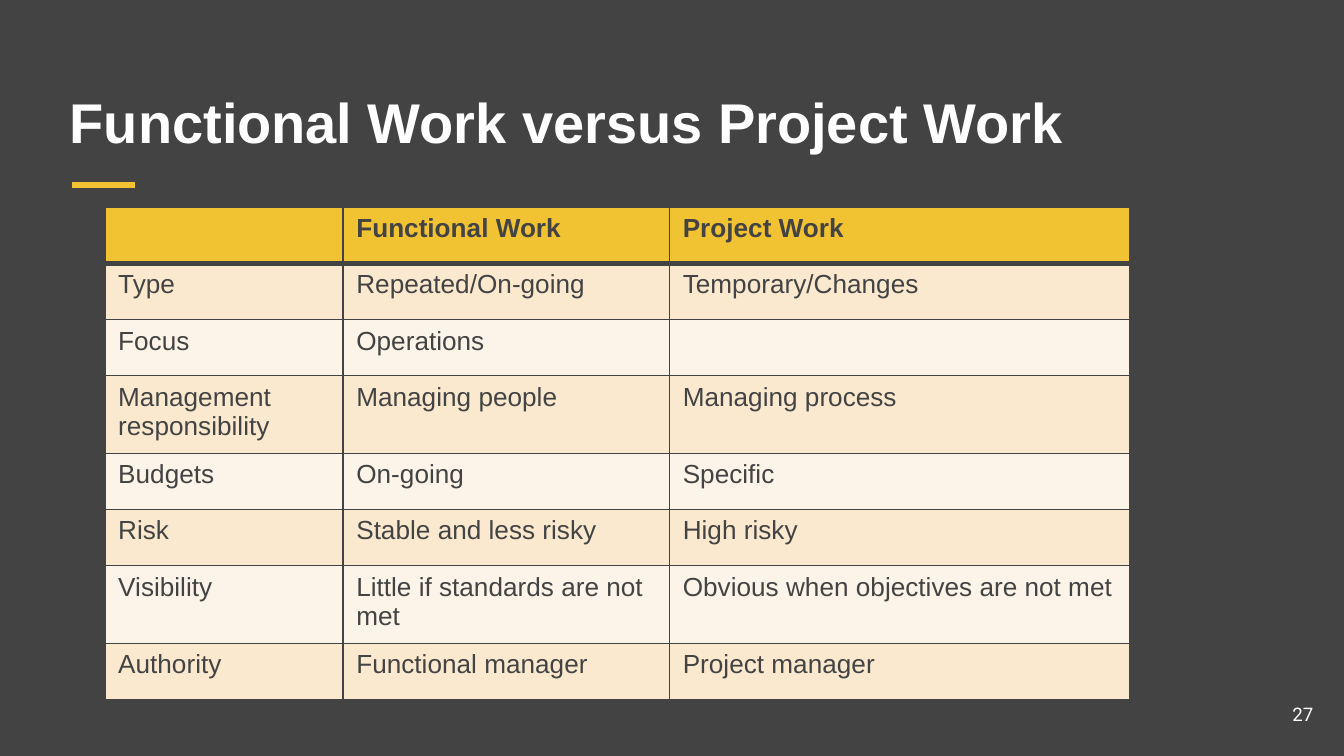
import lxml.etree
import pptx
import pptx.dml.color
import pptx.enum.shapes
import pptx.enum.text
import pptx.oxml.ns
import pptx.util

Cm = pptx.util.Cm
Pt = pptx.util.Pt
ALIGN = pptx.enum.text.PP_ALIGN
ANCHOR = pptx.enum.text.MSO_ANCHOR

COLORS = {
    "dark": "434343",
    "gold": "F1C232",
    "sand": "FAE9CE",
    "cream": "FCF4E8",
    "white": "FFFFFF",
}

ROWS = [
    ("", "Functional Work", "Project Work"),
    ("Type", "Repeated/On-going", "Temporary/Changes"),
    ("Focus", "Operations", ""),
    ("Management responsibility", "Managing people", "Managing process"),
    ("Budgets", "On-going", "Specific"),
    ("Risk", "Stable and less risky", "High risky"),
    ("Visibility", "Little if standards are not met", "Obvious when objectives are not met"),
    ("Authority", "Functional manager", "Project manager"),
]
TWO_LINE_ROWS = ("Management responsibility", "Visibility")
COLUMN_WIDTHS = (4.5, 6.17, 8.7)


def color(name):
    return pptx.dml.color.RGBColor.from_string(COLORS[name])


def style_font(paragraph, font_name, size, color_name, bold=False):
    font = paragraph.font
    font.name = font_name
    font.size = Pt(size)
    font.bold = bold
    font.color.rgb = color(color_name)


def add_text(slide, text, box, font_name, size, anchor, align=ALIGN.LEFT, bold=False):
    shape = slide.shapes.add_textbox(*(Cm(length) for length in box))
    frame = shape.text_frame
    frame.word_wrap = True
    frame.vertical_anchor = anchor
    frame.margin_left = frame.margin_right = Cm(0.25)
    frame.margin_top = frame.margin_bottom = Cm(0.25)
    paragraph = frame.paragraphs[0]
    paragraph.text = text
    paragraph.alignment = align
    style_font(paragraph, font_name, size, "white", bold)


def add_accent_line(slide, left, right, top):
    line = slide.shapes.add_connector(
        pptx.enum.shapes.MSO_CONNECTOR.STRAIGHT, Cm(left), Cm(top), Cm(right), Cm(top)
    )
    line.line.color.rgb = color("gold")
    line.line.width = Pt(3)
    lxml.etree.SubElement(line._element.spPr, pptx.oxml.ns.qn("a:effectLst"))


def set_borders(cell, widths):
    properties = cell._tc.get_or_add_tcPr()
    for index, (side, width) in enumerate(widths.items()):
        border = lxml.etree.Element(pptx.oxml.ns.qn("a:ln" + side), w=str(Pt(width)))
        fill = lxml.etree.SubElement(border, pptx.oxml.ns.qn("a:solidFill"))
        lxml.etree.SubElement(fill, pptx.oxml.ns.qn("a:srgbClr"), val=COLORS["dark"])
        properties.insert(index, border)


def style_cell(cell, text, row_index):
    header = row_index == 0
    cell.fill.solid()
    cell.fill.fore_color.rgb = color("gold" if header else "sand" if row_index % 2 else "cream")
    set_borders(cell, {
        "L": 1,
        "R": 1,
        "T": 3 if row_index == 1 else 1,
        "B": 3 if header else 1,
    })
    paragraph = cell.text_frame.paragraphs[0]
    paragraph.text = text
    style_font(paragraph, "Arial", 14, "dark", bold=header)


def add_comparison_table(slide, left, top):
    heights = [1.47 if row[0] in TWO_LINE_ROWS else 1.06 for row in ROWS]
    table = slide.shapes.add_table(
        len(ROWS), len(COLUMN_WIDTHS), Cm(left), Cm(top), Cm(sum(COLUMN_WIDTHS)), Cm(sum(heights))
    ).table
    for column, width in zip(table.columns, COLUMN_WIDTHS):
        column.width = Cm(width)
    for row_index, texts in enumerate(ROWS):
        table.rows[row_index].height = Cm(heights[row_index])
        for column_index, text in enumerate(texts):
            style_cell(table.cell(row_index, column_index), text, row_index)


def main():
    presentation = pptx.Presentation()
    presentation.slide_width = Cm(25.4)
    presentation.slide_height = Cm(14.29)
    slide = presentation.slides.add_slide(presentation.slide_layouts[6])
    slide.background.fill.solid()
    slide.background.fill.fore_color.rgb = color("dark")

    add_accent_line(slide, 1.37, 2.55, 3.5)
    add_text(slide, "Functional Work versus Project Work", (1.07, 1.27, 23.24, 1.9),
             "Arial", 30, ANCHOR.BOTTOM, bold=True)
    add_text(slide, "27", (23.55, 12.95, 1.52, 1.09), "Roboto", 10, ANCHOR.MIDDLE, ALIGN.RIGHT)
    add_comparison_table(slide, 1.98, 3.92)
    presentation.save("out.pptx")


if __name__ == "__main__":
    main()
